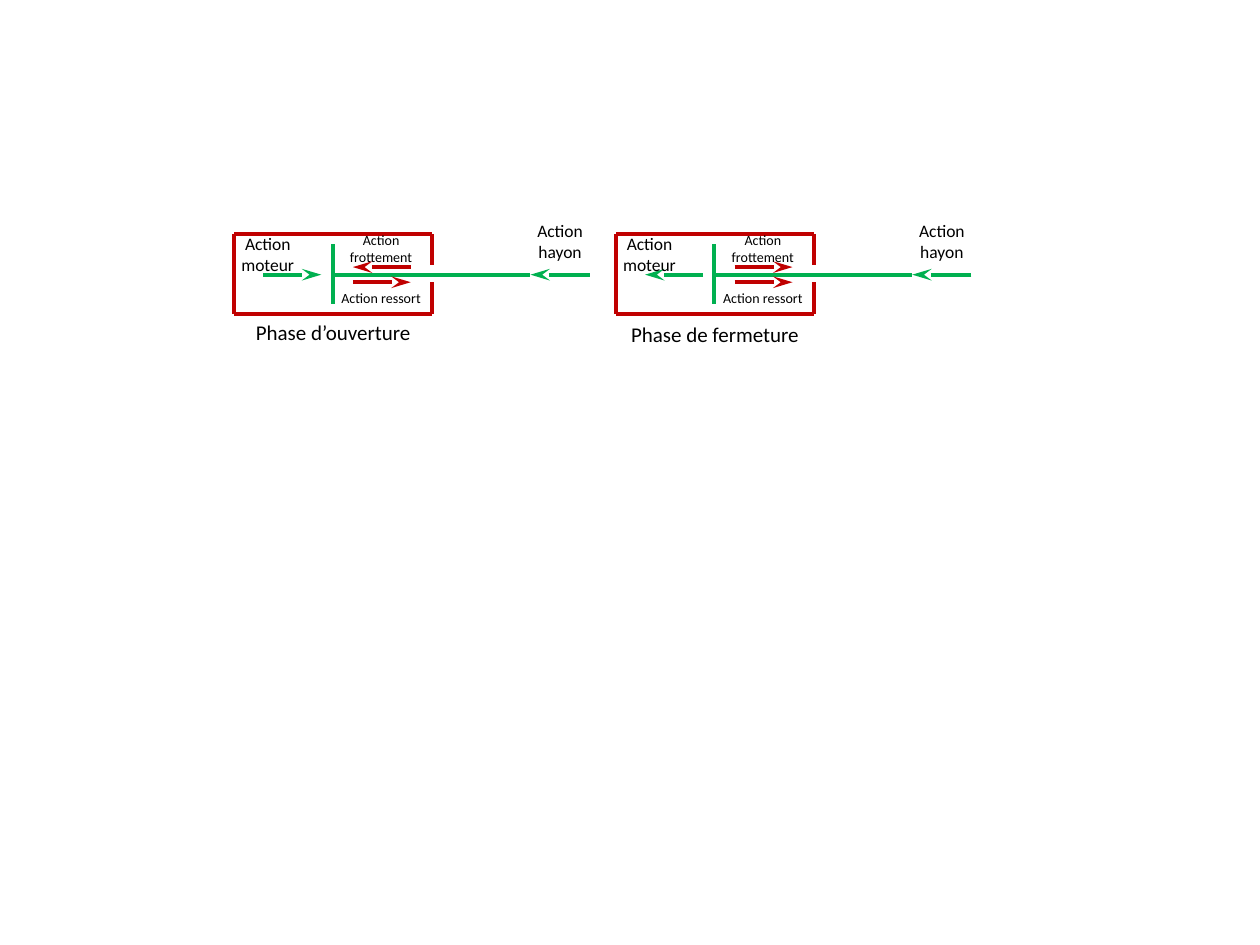
from lxml import etree
from pptx import Presentation, util as u
from pptx.dml.color import RGBColor
from pptx.enum import shapes, text
from pptx.oxml import ns

GREEN, RED, BLACK = "00B050", "C00000", "000000"
OPENING_LEFT, PHASE_STEP = 1.86, 3.03
BODY_WIDTH, BODY_TOP, BODY_BOTTOM = 1.57, 1.86, 2.49
AXIS = 2.18


def rgb(value):
    return RGBColor.from_string(value)


def add_line(group, start, end, color, arrow=False):
    points = [u.Inches(value) for value in (*start, *end)]
    line = group.shapes.add_connector(shapes.MSO_CONNECTOR.STRAIGHT, *points)
    line.line.color.rgb = rgb(color)
    line.line.width = u.Pt(2.25)
    properties = line._element.spPr
    if arrow:
        etree.SubElement(line.line._get_or_add_ln(), ns.qn("a:tailEnd"),
                         type="stealth", w="med", len="lg")
    etree.SubElement(properties, ns.qn("a:effectLst"))


def add_force(group, start, end, y, color):
    add_line(group, (start, y), (end, y), color, arrow=True)


def add_label(group, wording, left, top, width, height, size):
    box = group.shapes.add_textbox(*map(u.Inches, (left, top, width, height)))
    frame = box.text_frame
    frame.word_wrap = True
    frame.auto_size = text.MSO_AUTO_SIZE.SHAPE_TO_FIT_TEXT
    paragraph = frame.paragraphs[0]
    paragraph.alignment = text.PP_ALIGN.CENTER
    run = paragraph.add_run()
    run.text = wording
    run.font.name = "Calibri"
    run.font.size = u.Pt(size)
    run.font.color.rgb = rgb(BLACK)


def add_rod(group, left):
    piston = left + 0.78
    add_line(group, (piston, AXIS), (left + 2.35, AXIS), GREEN)
    add_line(group, (piston, 2.41), (piston, 1.94), GREEN)


def add_body(group, left):
    """Draw the cylinder, open on the right where the rod comes out."""
    right = left + BODY_WIDTH
    for y in (BODY_TOP, BODY_BOTTOM):
        add_line(group, (left, y), (right, y), RED)
    add_line(group, (left, BODY_BOTTOM), (left, BODY_TOP), RED)
    add_line(group, (right, 2.1), (right, BODY_TOP), RED)
    add_line(group, (right, BODY_BOTTOM), (right, 2.24), RED)


def add_phase(slide, left, caption, caption_top, motor, friction):
    """Draw one phase; motor and friction are start and end offsets from left."""
    group = slide.shapes.add_group_shape()
    add_rod(group, left)
    add_body(group, left)
    add_label(group, caption, left, caption_top, BODY_WIDTH, 0.3, 12)

    forces = [
        ("Action hayon", (2.82, 2.35), AXIS, GREEN, 2.15, 1.7, 0.44, 10),
        ("Action moteur", motor, AXIS, GREEN, -0.17, 1.8, 0.44, 10),
        ("Action frottement", friction, 2.12, RED, 0.73, 1.79, 0.37, 8),
        ("Action ressort", (0.94, 1.4), 2.24, RED, 0.73, 2.25, 0.24, 8),
    ]
    for wording, (start, end), y, color, offset, top, height, size in forces:
        add_force(group, left + start, left + end, y, color)
        add_label(group, wording, left + offset, top, 0.87, height, size)


def main():
    presentation = Presentation()
    presentation.slide_width = u.Inches(10)
    presentation.slide_height = u.Inches(7.5)
    slide = presentation.slides.add_slide(presentation.slide_layouts[6])
    add_phase(slide, OPENING_LEFT, "Phase d’ouverture", 2.49,
              motor=(0.23, 0.69), friction=(1.4, 0.94))
    add_phase(slide, OPENING_LEFT + PHASE_STEP, "Phase de fermeture", 2.5,
              motor=(0.69, 0.23), friction=(0.94, 1.4))
    presentation.save("out.pptx")


if __name__ == "__main__":
    main()
